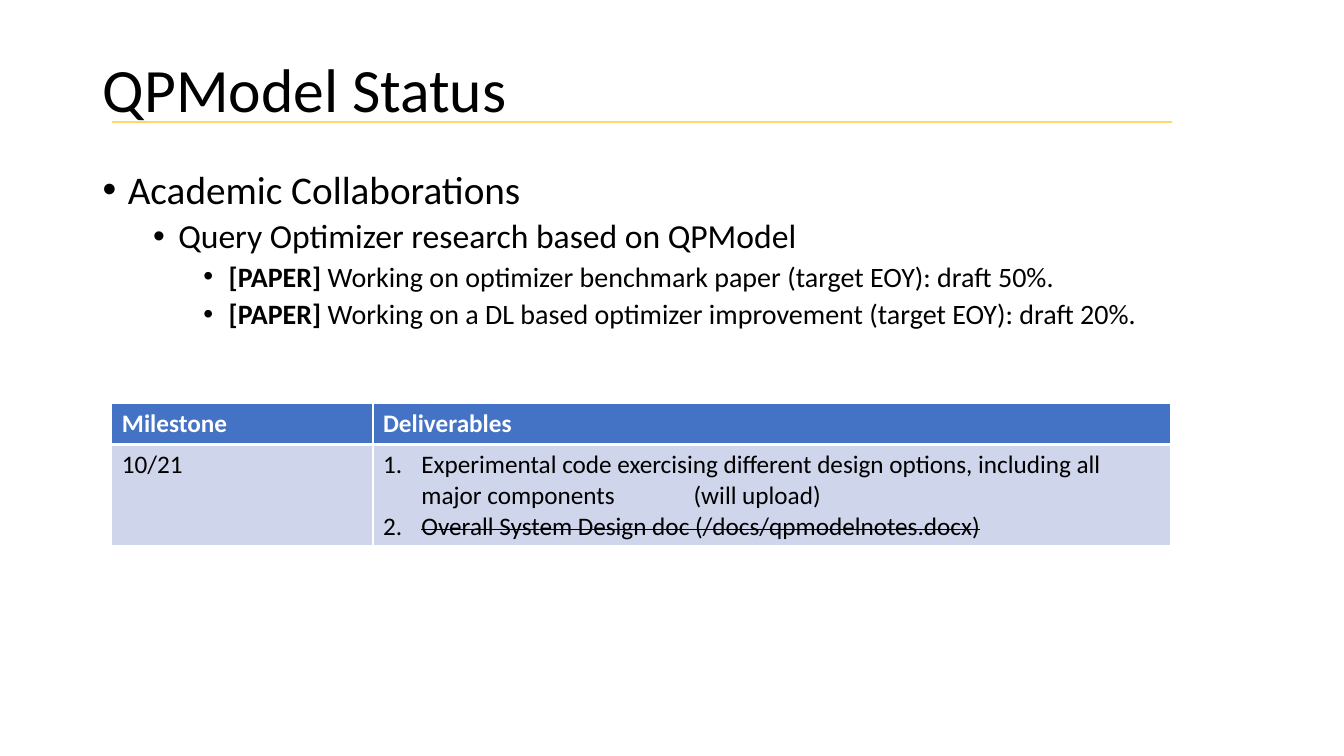
import dataclasses

import pptx
import pptx.dml.color
import pptx.enum.shapes
import pptx.enum.text
import pptx.oxml.ns
import pptx.util
from lxml import etree
from pptx.util import Inches

FONT = "Calibri"
BLACK, WHITE, GOLD = "000000", "FFFFFF", "FFD966"
HEADER_BLUE, ROW_BLUE = "4472C4", "CFD5EA"
qn = pptx.oxml.ns.qn


@dataclasses.dataclass(frozen=True)
class Span:
    text: str
    bold: bool = False
    strike: bool = False


@dataclasses.dataclass(frozen=True)
class Bullet:
    level: int
    size: float
    space_before: float
    spans: tuple[Span, ...]


@dataclasses.dataclass(frozen=True)
class Cell:
    lines: tuple[Span, ...]
    fill: str = ROW_BLUE
    color: str = BLACK
    numbered: bool = False


BULLETS = (
    Bullet(0, 28, 10, (Span("Academic Collaborations"),)),
    Bullet(1, 24, 5, (Span("Query Optimizer research based on QPModel"),)),
    Bullet(2, 20, 5, (Span("[PAPER] ", bold=True),
                      Span("Working on optimizer benchmark paper (target EOY): draft 50%."))),
    Bullet(2, 20, 5, (Span("[PAPER] ", bold=True),
                      Span("Working on a DL based optimizer improvement (target EOY): draft 20%."))),
)
COLUMN_WIDTHS = (2.59, 7.91)
ROW_HEIGHTS = (0.41, 1.0)
MILESTONES = (
    (Cell((Span("Milestone", bold=True),), HEADER_BLUE, WHITE),
     Cell((Span("Deliverables", bold=True),), HEADER_BLUE, WHITE)),
    (Cell((Span("10/21"),)),
     Cell((Span("Experimental code exercising different design options, "
                "including all major components\t(will upload)"),
           Span("Overall System Design doc (/docs/qpmodelnotes.docx)", strike=True)),
          numbered=True)),
)


def rgb(color: str) -> pptx.dml.color.RGBColor:
    return pptx.dml.color.RGBColor.from_string(color)


def add_span(para, span: Span, size: float, color: str = BLACK) -> None:
    run = para.add_run()
    run.text = span.text
    run.font.name = FONT
    run.font.size = pptx.util.Pt(size)
    run.font.bold = span.bold
    run.font.color.rgb = rgb(color)
    if span.strike:
        run.font._element.set("strike", "sngStrike")


def set_marker(para, left: float, hanging: float, tag: str, **attributes: str):
    properties = para._p.get_or_add_pPr()
    properties.set("marL", str(Inches(left)))
    properties.set("indent", str(-Inches(hanging)))
    font = etree.SubElement(properties, qn("a:buFont"))
    font.set("typeface", "Arial" if tag == "a:buChar" else "+mj-lt")
    etree.SubElement(properties, qn(tag), attributes)
    return properties


def set_borders(cell, top: float, bottom: float) -> None:
    properties = cell._tc.get_or_add_tcPr()
    edges = (("a:lnL", 1), ("a:lnR", 1), ("a:lnT", top), ("a:lnB", bottom))
    for position, (tag, width) in enumerate(edges):
        edge = etree.Element(qn(tag), w=str(pptx.util.Pt(width)))
        fill = etree.SubElement(edge, qn("a:solidFill"))
        etree.SubElement(fill, qn("a:srgbClr"), val=WHITE)
        properties.insert(position, edge)


def add_title(page) -> None:
    title = page.shapes.title
    title.left, title.top = Inches(0.92), Inches(0.19)
    title.width, title.height = Inches(11.5), Inches(1.45)
    title.text_frame.vertical_anchor = pptx.enum.text.MSO_ANCHOR.MIDDLE
    para = title.text_frame.paragraphs[0]
    para.alignment = pptx.enum.text.PP_ALIGN.LEFT
    para.line_spacing = 0.9
    add_span(para, Span("QPModel Status"), 44)


def add_rule(page) -> None:
    rule = page.shapes.add_connector(
        pptx.enum.shapes.MSO_CONNECTOR.STRAIGHT,
        Inches(1.11), Inches(1.21), Inches(11.62), Inches(1.21))
    rule.line.color.rgb = rgb(GOLD)
    rule.line.width = pptx.util.Pt(1.25)
    etree.SubElement(rule._element.spPr, qn("a:effectLst"))


def add_bullets(page) -> None:
    box = page.shapes.add_textbox(Inches(0.92), Inches(1.64), Inches(12.04), Inches(5.75))
    frame = box.text_frame
    frame.word_wrap = True
    for index, bullet in enumerate(BULLETS):
        para = frame.add_paragraph() if index else frame.paragraphs[0]
        para.level = bullet.level
        para.line_spacing = 0.9
        para.space_before = pptx.util.Pt(bullet.space_before)
        set_marker(para, 0.25 + 0.5 * bullet.level, 0.25, "a:buChar", char="•")
        for span in bullet.spans:
            add_span(para, span, bullet.size)


def fill_cell(cell, content: Cell) -> None:
    cell.fill.solid()
    cell.fill.fore_color.rgb = rgb(content.fill)
    for index, span in enumerate(content.lines):
        para = cell.text_frame.add_paragraph() if index else cell.text_frame.paragraphs[0]
        if content.numbered:
            properties = set_marker(para, 0.38, 0.38, "a:buAutoNum", type="arabicPeriod")
            if "\t" in span.text:
                tabs = etree.SubElement(properties, qn("a:tabLst"))
                etree.SubElement(tabs, qn("a:tab"), pos=str(Inches(3.08)), algn="l")
        add_span(para, span, 18, content.color)


def add_milestones(page) -> None:
    table = page.shapes.add_table(
        len(ROW_HEIGHTS), len(COLUMN_WIDTHS), Inches(1.11), Inches(4),
        Inches(sum(COLUMN_WIDTHS)), Inches(sum(ROW_HEIGHTS))).table
    for column, width in zip(table.columns, COLUMN_WIDTHS):
        column.width = Inches(width)
    for row, height in zip(table.rows, ROW_HEIGHTS):
        row.height = Inches(height)
    for row_index, contents in enumerate(MILESTONES):
        # The thick edge lies between the header and the row below it
        top, bottom = (3, 1) if row_index else (1, 3)
        for column_index, content in enumerate(contents):
            cell = table.cell(row_index, column_index)
            fill_cell(cell, content)
            set_borders(cell, top, bottom)


def main() -> None:
    deck = pptx.Presentation()
    deck.slide_width, deck.slide_height = Inches(13.33), Inches(7.5)
    page = deck.slides.add_slide(deck.slide_layouts[5])
    # Heading
    add_title(page)
    # Body text
    add_bullets(page)
    add_rule(page)
    # Milestone table
    add_milestones(page)
    deck.save("out.pptx")


if __name__ == "__main__":
    main()
